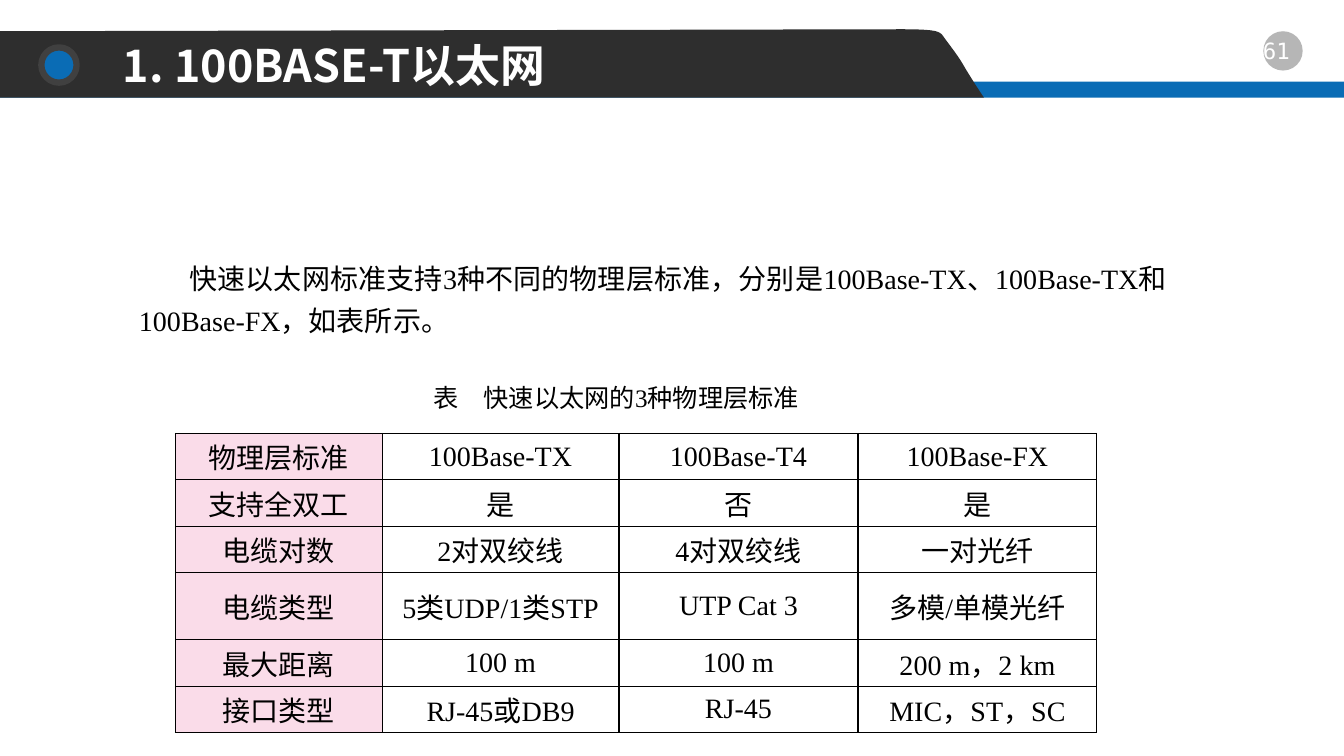
import pptx
import pptx.dml.color
import pptx.enum.shapes
import pptx.enum.text
import pptx.oxml
import pptx.oxml.ns
import pptx.util

Inches = pptx.util.Inches
Pt = pptx.util.Pt
RGBColor = pptx.dml.color.RGBColor
Shape = pptx.enum.shapes.MSO_SHAPE
Align = pptx.enum.text.PP_ALIGN
Anchor = pptx.enum.text.MSO_ANCHOR
qn = pptx.oxml.ns.qn

BLUE = RGBColor(0x0A, 0x6C, 0xB5)
CHARCOAL = RGBColor(0x2E, 0x2E, 0x2E)
RING = RGBColor(0x40, 0x40, 0x40)
PINK = RGBColor(0xFA, 0xDC, 0xE9)
BLACK = RGBColor(0, 0, 0)
WHITE = RGBColor(0xFF, 0xFF, 0xFF)
SERIF, SANS, MONO = "Times New Roman", "Noto Sans CJK SC", "DejaVu Sans Mono"

STANDARDS = [
    ["物理层标准", "100Base-TX", "100Base-T4", "100Base-FX"],
    ["支持全双工", "是", "否", "是"],
    ["电缆对数", "2对双绞线", "4对双绞线", "一对光纤"],
    ["电缆类型", "5类UDP/1类STP", "UTP Cat 3", "多模/单模光纤"],
    ["最大距离", "100 m", "100 m", "200 m，2 km"],
    ["接口类型", "RJ-45或DB9", "RJ-45", "MIC，ST，SC"],
]
COLUMN_WIDTHS = [2.05, 2.35, 2.37, 2.37]
ROW_HEIGHT = 0.46


def assign(target, values):
    for name, value in values.items():
        setattr(target, name, value)


def place(shape, left, top, width, height):
    assign(shape, {"left": Inches(left), "top": Inches(top),
                   "width": Inches(width), "height": Inches(height)})


def write(frame, text, size, font, color, paragraph=None, bold=False):
    """Put one formatted paragraph into a text frame and return it."""
    para = frame.paragraphs[0]
    assign(para, paragraph or {})
    span = para.add_run()
    span.text = text
    assign(span.font, {"size": Pt(size), "name": font, "bold": bold})
    span.font.color.rgb = color
    east_asian = pptx.oxml.parse_xml(
        f'<a:ea {pptx.oxml.ns.nsdecls("a")} typeface="{SANS}"/>')
    span.font._element.find(qn("a:latin")).addnext(east_asian)
    return para


def paint(shape, fill, line=None, line_width=0):
    shape.shadow.inherit = False
    shape.fill.solid()
    shape.fill.fore_color.rgb = fill
    if line is None:
        shape.line.fill.background()
    else:
        shape.line.color.rgb = line
        shape.line.width = Pt(line_width)


def add_block(page, kind, bounds, fill, line=None, line_width=0):
    shape = page.shapes.add_shape(kind, *map(Inches, bounds))
    paint(shape, fill, line, line_width)
    return shape


def curve(start, first, second, end, steps=16):
    """Points along a cubic curve, without its start."""
    points = []
    for step in range(1, steps + 1):
        t = step / steps
        weights = ((1 - t) ** 3, 3 * t * (1 - t) ** 2, 3 * t * t * (1 - t), t ** 3)
        points.append(tuple(
            Inches(sum(w * p[axis] for w, p in zip(weights, (start, first, second, end))))
            for axis in (0, 1)))
    return points


def add_banner(page):
    shoulder, crest, tip = (9.37, 0.38), (8.9, 0.29), (9.76, 0.97)
    outline = curve(shoulder, (9.32, 0.31), (9.33, 0.29), crest)
    outline += [(Inches(x), Inches(y)) for x, y in ((0, 0.31), (0, 0.97), tip)]
    outline += curve(tip, (9.47, 0.53), (9.61, 0.7), shoulder)
    builder = page.shapes.build_freeform(*map(Inches, shoulder))
    builder.add_line_segments(outline, close=True)
    paint(builder.convert_to_shape(), CHARCOAL)


def add_header(page):
    add_block(page, Shape.RECTANGLE, (0, 0.81, 13.33, 0.16), BLUE)
    add_banner(page)
    add_block(page, Shape.OVAL, (0.41, 0.47, 0.35, 0.35), BLUE, RING, 4.5)
    badge = add_block(page, Shape.OVAL, (12.53, 0.31, 0.39, 0.39), CHARCOAL)
    tint = badge._element.spPr.find(qn("a:solidFill"))[0]
    tint.append(pptx.oxml.parse_xml(
        f'<a:alpha {pptx.oxml.ns.nsdecls("a")} val="35000"/>'))


def add_text(page, bounds, text, size, font, color, paragraph, indent=0):
    box = page.shapes.add_textbox(*map(Inches, bounds))
    box.text_frame.word_wrap = True
    para = write(box.text_frame, text, size, font, color, paragraph)
    if indent:
        properties = para._p.get_or_add_pPr()
        properties.set("marL", "0")
        properties.set("indent", str(Inches(indent)))
    return box


def set_title(page, text):
    title = page.shapes.title
    place(title, 1.06, 0.37, 4.68, 0.54)
    assign(title.text_frame, {
        "auto_size": pptx.enum.text.MSO_AUTO_SIZE.NONE, "word_wrap": False,
        "vertical_anchor": Anchor.MIDDLE,
        "margin_left": Inches(0.16), "margin_right": Inches(0.16),
        "margin_top": 0, "margin_bottom": 0})
    write(title.text_frame, text, 32, SANS, WHITE,
          {"alignment": Align.LEFT, "space_before": Pt(0)}, bold=True)
    # Bring the title in front of the banner
    page.shapes._spTree.append(title._element)


def add_borders(cell):
    properties = cell._tc.get_or_add_tcPr()
    for side in ("lnL", "lnR", "lnT", "lnB"):
        properties.append(pptx.oxml.parse_xml(
            f'<a:{side} {pptx.oxml.ns.nsdecls("a")} w="{Pt(1)}"><a:solidFill>'
            f'<a:srgbClr val="{BLACK}"/></a:solidFill></a:{side}>'))


def add_standards_table(page):
    rows, columns = len(STANDARDS), len(COLUMN_WIDTHS)
    table = page.shapes.add_table(
        rows, columns, Inches(1.74), Inches(4.3),
        Inches(sum(COLUMN_WIDTHS)), Inches(rows * ROW_HEIGHT)).table
    assign(table, {"first_row": False, "horz_banding": False})
    for column, width in zip(table.columns, COLUMN_WIDTHS):
        column.width = Inches(width)
    for row_index, row in enumerate(STANDARDS):
        table.rows[row_index].height = Inches(ROW_HEIGHT)
        for column_index, text in enumerate(row):
            cell = table.cell(row_index, column_index)
            assign(cell, {"vertical_anchor": Anchor.MIDDLE,
                          "margin_left": Inches(0.07), "margin_right": Inches(0.07),
                          "margin_top": 0, "margin_bottom": 0})
            write(cell.text_frame, text, 20, SERIF, BLACK, {"alignment": Align.CENTER})
            add_borders(cell)
            if column_index == 0:
                cell.fill.solid()
                cell.fill.fore_color.rgb = PINK
            else:
                cell.fill.background()


def main():
    deck = pptx.Presentation()
    assign(deck, {"slide_width": Inches(13.33), "slide_height": Inches(7.5)})
    page = deck.slides.add_slide(deck.slide_layouts[5])

    # Header with page number and title
    add_header(page)
    number = add_text(page, (12.37, 0.32, 0.71, 0.37), "61", 16, MONO, WHITE,
                      {"alignment": Align.CENTER})
    number.text_frame.margin_right = Inches(0.23)
    set_title(page, "1. 100BASE-T以太网")

    # Introduction and table caption
    body = {"alignment": Align.JUSTIFY, "line_spacing": 1.25}
    add_text(page, (1.28, 2.46, 10.39, 0.94),
             "快速以太网标准支持3种不同的物理层标准，分别是100Base-TX、"
             "100Base-TX和100Base-FX，如表所示。", 20, SERIF, BLACK, body, 0.5)
    add_text(page, (3.7, 3.67, 5.23, 0.48), "表　快速以太网的3种物理层标准",
             18, SERIF, BLACK, body, 0.5)

    # Physical layer standards
    add_standards_table(page)
    deck.save("out.pptx")


if __name__ == "__main__":
    main()
